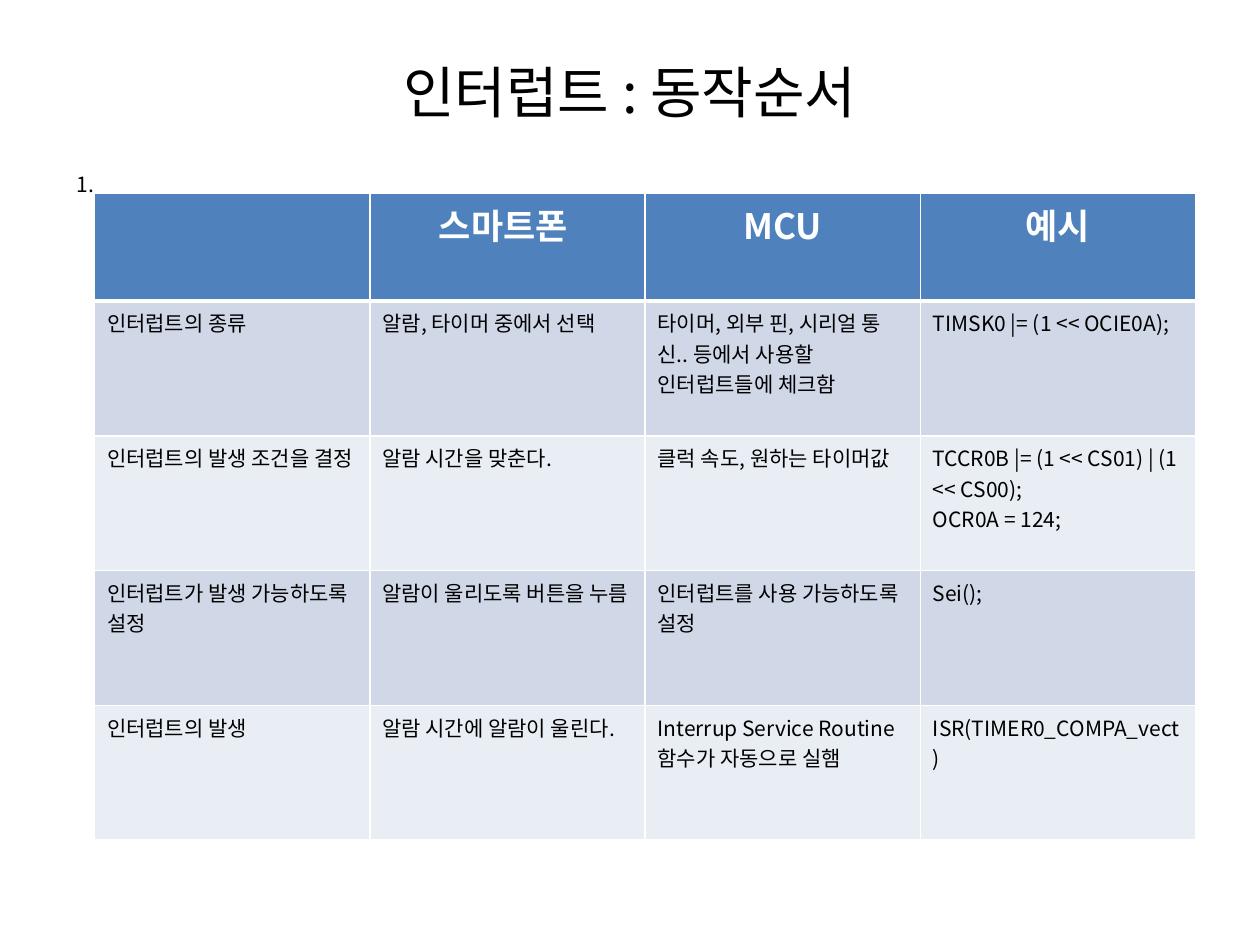
import pptx
import pptx.util
import pptx.dml.color
import pptx.enum.text
import pptx.oxml
import pptx.oxml.ns

Inches, Pt = pptx.util.Inches, pptx.util.Pt
RGBColor = pptx.dml.color.RGBColor
ALIGN = pptx.enum.text.PP_ALIGN
ANCHOR = pptx.enum.text.MSO_ANCHOR

# Content
TITLE = "인터럽트 : 동작순서"
NUMBER = "1."
HEADER = ["", "스마트폰 ", "MCU", "예시"]
ROWS = [
    ["인터럽트의 종류", "알람, 타이머 중에서 선택",
     "타이머, 외부 핀, 시리얼 통신.. 등에서 사용할 인터럽트들에 체크함",
     "TIMSK0 |= (1 << OCIE0A);"],
    ["인터럽트의 발생 조건을 결정", "알람 시간을 맞춘다.", "클럭 속도, 원하는 타이머값",
     "TCCR0B |= (1 << CS01) | (1 << CS00);\nOCR0A = 124;"],
    ["인터럽트가 발생 가능하도록 설정", "알람이 울리도록 버튼을 누름",
     "인터럽트를 사용 가능하도록 설정", "Sei();"],
    ["인터럽트의 발생", "알람 시간에 알람이 울린다.",
     "Interrup Service Routine 함수가 자동으로 실햄", "ISR(TIMER0_COMPA_vect)"],
]

# Format
FONT = "Noto Sans CJK KR"
BLACK = RGBColor(0x00, 0x00, 0x00)
WHITE = RGBColor(0xFF, 0xFF, 0xFF)
HEADER_BLUE = RGBColor(0x4F, 0x81, 0xBD)
BANDS = [RGBColor(0xD0, 0xD8, 0xE8), RGBColor(0xE9, 0xED, 0xF4)]
TITLE_FORMAT = {"size": Pt(32), "bold": False, "color": BLACK}
HEADER_FORMAT = {"size": Pt(20), "bold": True, "color": WHITE}
BODY_FORMAT = {"size": Pt(12), "bold": False, "color": BLACK}

# Positions: left, top, width, height
TITLE_BOX = (0.5, 0.3, 9, 0.85)
NUMBER_BOX = (0.51, 1.31, 9, 4.95)
TABLE_BOX = (0.75, 1.53, 8.74, 5.14)
HEADER_HEIGHT = 0.86


def write_text(text_frame, text, text_format, align=ALIGN.LEFT):
    text_frame.text = text
    for paragraph in text_frame.paragraphs:
        paragraph.alignment = align
        for run in paragraph.runs:
            for name, value in text_format.items():
                if name == "color":
                    run.font.color.rgb = value
                else:
                    setattr(run.font, name, value)
            run.font.name = FONT
            # East Asian typeface for the Korean text
            east_asian = pptx.oxml.parse_xml(
                f'<a:ea {pptx.oxml.ns.nsdecls("a")} typeface="{FONT}"/>')
            run.font._element.append(east_asian)


def set_borders(cell, widths):
    properties = cell._tc.get_or_add_tcPr()
    for index, (side, width) in enumerate(widths.items()):
        line = pptx.oxml.parse_xml(
            f'<a:ln{side} {pptx.oxml.ns.nsdecls("a")} w="{Pt(width)}">'
            f'<a:solidFill><a:srgbClr val="{WHITE}"/></a:solidFill></a:ln{side}>')
        properties.insert(index, line)


def add_title(slide):
    title = slide.shapes.title
    title.left, title.top, title.width, title.height = map(Inches, TITLE_BOX)
    title.text_frame.vertical_anchor = ANCHOR.MIDDLE
    write_text(title.text_frame, TITLE, TITLE_FORMAT, ALIGN.CENTER)


def add_number(slide):
    text_frame = slide.shapes.add_textbox(*map(Inches, NUMBER_BOX)).text_frame
    text_frame.word_wrap = True
    write_text(text_frame, NUMBER, BODY_FORMAT)
    text_frame.paragraphs[0].space_before = Pt(2.4)


def add_table(slide):
    rows = [HEADER] + ROWS
    table = slide.shapes.add_table(
        len(rows), len(HEADER), *map(Inches, TABLE_BOX)).table
    for column in table.columns:
        column.width = Inches(TABLE_BOX[2] / len(HEADER))
    body_height = (TABLE_BOX[3] - HEADER_HEIGHT) / len(ROWS)

    for row_index, texts in enumerate(rows):
        is_header = row_index == 0
        table.rows[row_index].height = Inches(HEADER_HEIGHT if is_header else body_height)
        fill = HEADER_BLUE if is_header else BANDS[(row_index - 1) % 2]
        text_format = HEADER_FORMAT if is_header else BODY_FORMAT
        align = ALIGN.CENTER if is_header else ALIGN.LEFT
        borders = {"L": 1, "R": 1, "T": 3 if row_index == 1 else 1,
                   "B": 3 if is_header else 1}
        for column_index, text in enumerate(texts):
            cell = table.cell(row_index, column_index)
            cell.fill.solid()
            cell.fill.fore_color.rgb = fill
            set_borders(cell, borders)
            write_text(cell.text_frame, text, text_format, align)


def main():
    presentation = pptx.Presentation()
    presentation.slide_width = Inches(10)
    presentation.slide_height = Inches(7.5)
    slide = presentation.slides.add_slide(presentation.slide_layouts[5])
    add_title(slide)
    add_number(slide)
    add_table(slide)
    presentation.save("out.pptx")


if __name__ == "__main__":
    main()
